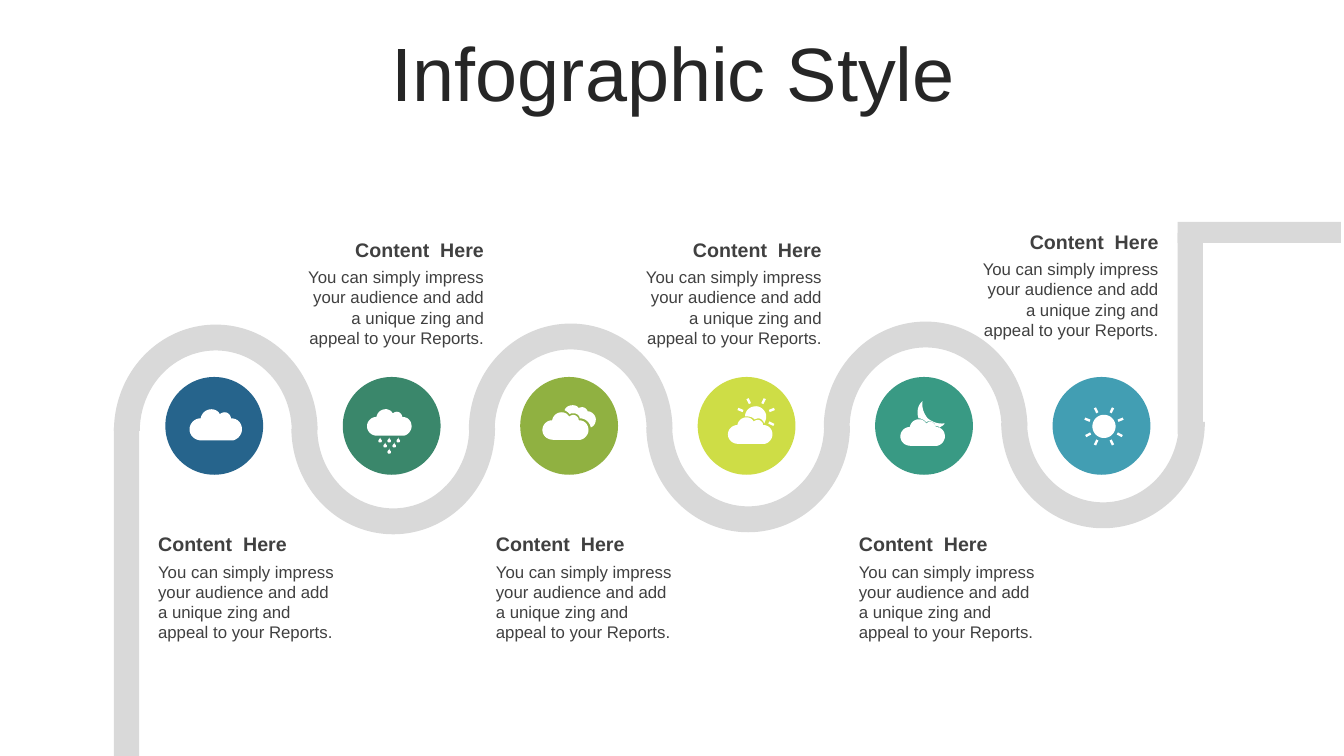
from math import cos, radians, sin

from pptx import Presentation
from pptx.dml.color import RGBColor
from pptx.enum import shapes, text
from pptx.util import Inches, Pt

ROAD = RGBColor(0xD9, 0xD9, 0xD9)
WHITE = RGBColor(0xFF, 0xFF, 0xFF)
TITLE = RGBColor(0x26, 0x26, 0x26)
BODY = RGBColor(0x40, 0x40, 0x40)
STOPS = [
    RGBColor(0x26, 0x64, 0x8C),
    RGBColor(0x3A, 0x87, 0x6B),
    RGBColor(0x90, 0xB1, 0x41),
    RGBColor(0xCE, 0xDD, 0x46),
    RGBColor(0x39, 0x9A, 0x84),
    RGBColor(0x42, 0x9E, 0xB3),
]
STEP = 1.76

# Outlines: pairs are straight corners, sextuples are Bézier curves
CLOUD = [
    (0.22, 0), (0.25, 0, 0.29, 0.02, 0.3, 0.05),
    (0.31, 0.04, 0.33, 0.03, 0.35, 0.03), (0.38, 0.03, 0.41, 0.06, 0.41, 0.09),
    (0.48, 0.09, 0.52, 0.14, 0.52, 0.2), (0.52, 0.25, 0.48, 0.3, 0.43, 0.31),
    (0.12, 0.31), (0.05, 0.31, 0, 0.26, 0, 0.2),
    (0, 0.14, 0.05, 0.09, 0.11, 0.09), (0.12, 0.04, 0.16, 0, 0.22, 0),
]
DROP = [
    (0, 0), (0, 0.01, 0.01, 0.02, 0.01, 0.02), (0.02, 0.03, 0.02, 0.04, 0.01, 0.05),
    (0.01, 0.05, -0.01, 0.05, -0.01, 0.05), (-0.02, 0.04, -0.02, 0.03, -0.01, 0.02),
    (-0.01, 0.02, 0, 0.01, 0, 0),
]
BACK_CLOUD = [
    (5.68, 4.02), (5.71, 4.02, 5.73, 4.03, 5.74, 4.05),
    (5.75, 4.04, 5.76, 4.04, 5.78, 4.04), (5.8, 4.04, 5.82, 4.06, 5.83, 4.08),
    (5.87, 4.08, 5.91, 4.12, 5.91, 4.16), (5.91, 4.2, 5.89, 4.23, 5.86, 4.24),
    (5.85, 4.19, 5.81, 4.15, 5.75, 4.15), (5.75, 4.12, 5.72, 4.1, 5.69, 4.1),
    (5.67, 4.1, 5.66, 4.1, 5.65, 4.11), (5.64, 4.09, 5.62, 4.08, 5.6, 4.07),
    (5.61, 4.04, 5.64, 4.02, 5.68, 4.02),
]
RISING_SUN = [
    (7.5, 4.03), (7.55, 4.03, 7.6, 4.08, 7.6, 4.13),
    (7.6, 4.16, 7.59, 4.18, 7.58, 4.2), (7.57, 4.17, 7.55, 4.15, 7.52, 4.15),
    (7.51, 4.15, 7.49, 4.16, 7.48, 4.16), (7.47, 4.14, 7.44, 4.13, 7.39, 4.13),
    (7.39, 4.07, 7.44, 4.03, 7.5, 4.03),
]
MOON = [
    (9.15, 3.98), (9.14, 4.04, 9.16, 4.1, 9.2, 4.15),
    (9.25, 4.19, 9.31, 4.21, 9.37, 4.2), (9.36, 4.22, 9.34, 4.23, 9.32, 4.24),
    (9.31, 4.23, 9.3, 4.23, 9.28, 4.23), (9.28, 4.2, 9.25, 4.18, 9.22, 4.18),
    (9.21, 4.18, 9.2, 4.18, 9.19, 4.19), (9.17, 4.17, 9.14, 4.15, 9.11, 4.15),
    (9.09, 4.09, 9.1, 4.02, 9.15, 3.98),
]

deck = Presentation()
deck.slide_width, deck.slide_height = Inches(13.33), Inches(7.5)
page = deck.slides.add_slide(deck.slide_layouts[5])


def trace(outline, left=0, top=0, scale=1):
    """Turn an outline into slide points, with curves cut into short lines."""
    points = []
    for part in outline:
        if len(part) == 2:
            points.append(part)
            continue
        x0, y0 = points[-1]
        x1, y1, x2, y2, x3, y3 = part
        for cut in range(1, 9):
            t = cut / 8
            a, b, c, d = (1 - t) ** 3, 3 * t * (1 - t) ** 2, 3 * t * t * (1 - t), t ** 3
            points.append((a * x0 + b * x1 + c * x2 + d * x3,
                           a * y0 + b * y1 + c * y2 + d * y3))
    return [(Inches(left + x * scale), Inches(top + y * scale)) for x, y in points]


def paint(shape, colour):
    shape.shadow.inherit = False
    shape.fill.solid()
    shape.fill.fore_color.rgb = colour
    shape.line.fill.background()


title = page.shapes.title
title.left, title.top, title.width, title.height = map(Inches, (0.35, 0.37, 12.66, 0.79))
title.text_frame.text = "Infographic Style"
title.text_frame.vertical_anchor = text.MSO_ANCHOR.MIDDLE
title.text_frame.auto_size = text.MSO_AUTO_SIZE.NONE
para = title.text_frame.paragraphs[0]
para.alignment = text.PP_ALIGN.CENTER
para.line_spacing = 0.9
para.font.name, para.font.size = "Arial", Pt(54)
para.font.color.rgb = TITLE

# Winding road
for stop, top in enumerate((3.22, 3.19, 3.21, 3.17, 3.19, 3.13)):
    bend = page.shapes.add_shape(
        shapes.MSO_SHAPE.BLOCK_ARC,
        Inches(1.13 + STEP * stop), Inches(top), Inches(2.02), Inches(2.11))
    for index, value in enumerate((108, 215.59, 0.127)):
        bend.adjustments[index] = value
    bend.rotation = 180 * (stop % 2)
    paint(bend, ROAD)

for bounds in ((1.13, 4.25, 0.25, 3.25), (11.68, 2.31, 0.25, 2), (11.68, 2.2, 1.62, 0.21)):
    paint(page.shapes.add_shape(shapes.MSO_SHAPE.RECTANGLE, *map(Inches, bounds)), ROAD)

for stop, colour in enumerate(STOPS):
    disc = page.shapes.add_shape(
        shapes.MSO_SHAPE.OVAL,
        Inches(1.64 + STEP * stop), Inches(3.74), Inches(0.97), Inches(0.97))
    paint(disc, colour)

# Captions
for left, top, align in (
    (1.47, 5.23, text.PP_ALIGN.LEFT),
    (4.82, 5.23, text.PP_ALIGN.LEFT),
    (8.42, 5.23, text.PP_ALIGN.LEFT),
    (2.9, 2.31, text.PP_ALIGN.RIGHT),
    (6.25, 2.31, text.PP_ALIGN.RIGHT),
    (9.59, 2.23, text.PP_ALIGN.RIGHT),
):
    for words, offset, height, size, bold in (
        ("Content  Here", 0, 0.34, 14, True),
        ("You can simply impress your audience and add a unique zing "
         "and appeal to your Reports.", 0.29, 0.91, 12, False),
    ):
        box = page.shapes.add_textbox(
            Inches(left), Inches(top + offset), Inches(2), Inches(height))
        box.text_frame.word_wrap = True
        box.text_frame.auto_size = text.MSO_AUTO_SIZE.SHAPE_TO_FIT_TEXT
        para = box.text_frame.paragraphs[0]
        para.text = words
        para.alignment = align
        para.font.name, para.font.size, para.font.bold = "Arial", Pt(size), bold
        para.font.color.rgb = BODY

# Weather icons
cloudy = [trace(CLOUD, 1.88, 4.06)]
rainy = [trace(CLOUD, 3.64, 4.06, 0.85)]
for x, y in ((3.86, 4.45), (3.91, 4.39), (3.82, 4.39), (3.77, 4.34), (3.95, 4.34), (3.86, 4.34)):
    rainy.append(trace(DROP, x, y))
overcast = [trace(CLOUD, 5.38, 4.09, 0.88), trace(BACK_CLOUD)]
fair = [trace(CLOUD, 7.22, 4.14, 0.85), trace(RISING_SUN)]
night = [trace(CLOUD, 8.93, 4.16, 0.85), trace(MOON)]
sunny = [trace([(cos(radians(a)), sin(radians(a))) for a in range(0, 360, 6)],
               10.95, 4.23, 0.115)]

for icon, x, y, radius, angles in (
    (fair, 7.5, 4.13, 0.105, (26, -22, -64, -116, -158)),
    (sunny, 10.95, 4.23, 0.115, (28, 64, 116, 152, -158, -116, -64, -22)),
):
    for angle in map(radians, angles):
        corners = [(radius + 0.035, -0.012), (radius + 0.09, -0.012),
                   (radius + 0.09, 0.012), (radius + 0.035, 0.012)]
        icon.append(trace([(r * cos(angle) - w * sin(angle), r * sin(angle) + w * cos(angle))
                           for r, w in corners], x, y))

for icon in (cloudy, rainy, overcast, fair, night, sunny):
    builder = page.shapes.build_freeform(*icon[0][0])
    builder.add_line_segments(icon[0][1:])
    for contour in icon[1:]:
        builder.move_to(*contour[0])
        builder.add_line_segments(contour[1:])
    paint(builder.convert_to_shape(), WHITE)

deck.save("out.pptx")
